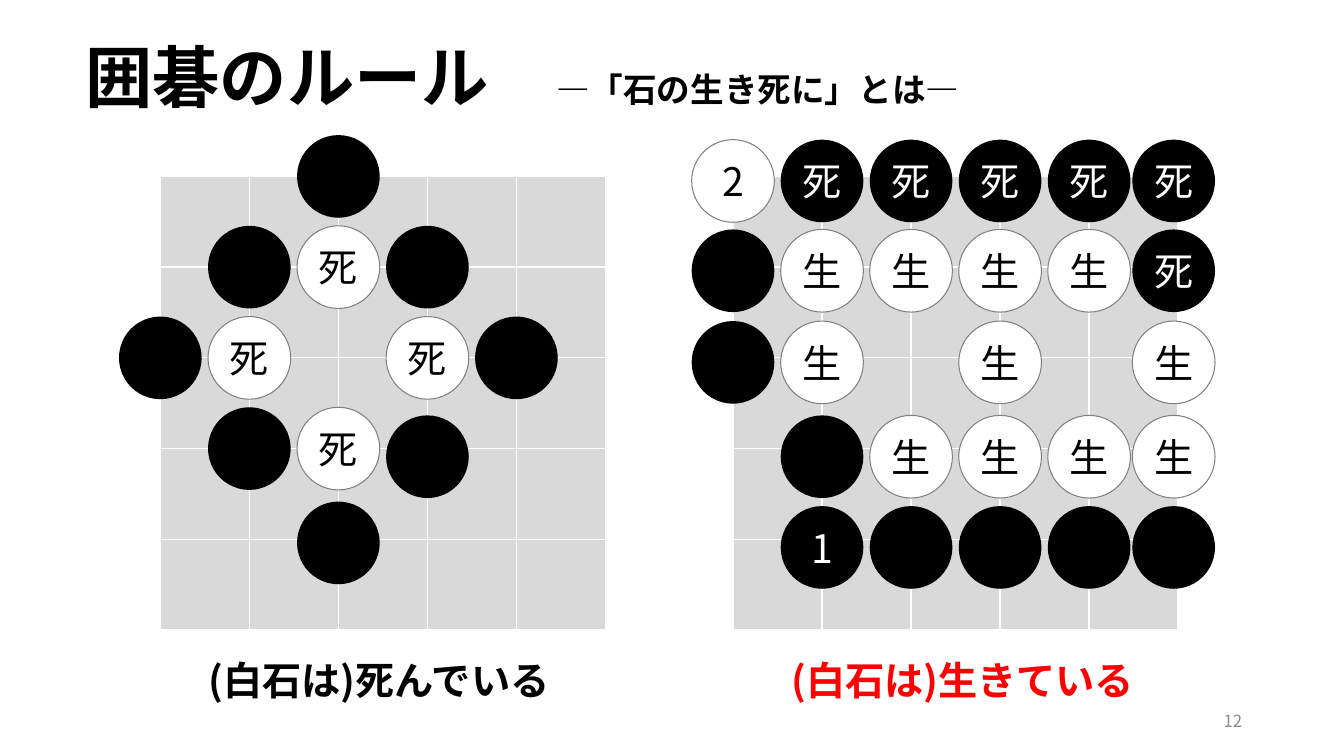
from itertools import product
from pptx import Presentation
from pptx.dml.color import RGBColor
from pptx.enum.shapes import MSO_SHAPE
from pptx.enum.text import MSO_ANCHOR, PP_ALIGN
from pptx.oxml.ns import qn
from pptx.util import Inches, Pt
from lxml.etree import SubElement

WIDE, HIGH = 13.33, 7.5
BLACK, WHITE = "000000", "FFFFFF"

# Each mark names a stone: fill colour, label
KINDS = {
    "b": (BLACK, ""),
    "x": (BLACK, "死"),
    "1": (BLACK, "1"),
    "d": (WHITE, "死"),
    "a": (WHITE, "生"),
    "2": (WHITE, "2"),
}

# Column and row places are counted in board cells
BOARDS = [
    {
        "left": 1.59,
        "cols": [0, 1, 2, 3, 4],
        "rows": [0, 1, 2, 3, 3.09, 4.04],
        "marks": ["..b..", ".bdb.", "bd.db", ".bd..", "...b.", "..b.."],
        "note": ("(白石は)死んでいる", 1.97, BLACK),
    },
    {
        "left": 7.27,
        "cols": [0, 1, 2, 3, 4, 4.95],
        "rows": [0.05, 1.04, 2.05, 3.09, 4.09],
        "marks": ["2xxxxx", "baaaax", "ba.a.a", ".baaaa", ".1bbbb"],
        "note": ("(白石は)生きている", 7.75, "FF0000"),
    },
]


def tint(code):
    return RGBColor.from_string(code)


def apply(item, values):
    for name, value in values.items():
        setattr(item, name, value)


class Sheet:
    font = "Noto Sans CJK JP"
    top, cell_w, cell_h = 1.75, 0.883, 0.9
    size, stone_d = 5, 0.82

    def __init__(self, deck):
        self.shapes = deck.slides.add_slide(deck.slide_layouts[6]).shapes

    def add_text(self, para, text, size, color, bold=False):
        run = para.add_run()
        run.text = text
        apply(run.font, {"name": self.font, "size": Pt(size), "bold": bold})
        run.font.color.rgb = tint(color)
        SubElement(run.font._element, qn("a:ea"), typeface=self.font)

    def label(self, box, runs, anchor=MSO_ANCHOR.TOP, align=PP_ALIGN.LEFT,
              space=None):
        """Put runs of (text, size, colour, bold) in a text box."""
        frame = self.shapes.add_textbox(*map(Inches, box)).text_frame
        apply(frame, {"word_wrap": True, "vertical_anchor": anchor})
        para = frame.paragraphs[0]
        apply(para, {"alignment": align, "line_spacing": space})
        for run in runs:
            self.add_text(para, *run)

    def form(self, kind, box, fill, edge=None, weight=1):
        shape = self.shapes.add_shape(kind, *map(Inches, box))
        shape.shadow.inherit = False
        shape.fill.solid()
        shape.fill.fore_color.rgb = tint(fill)
        if edge:
            shape.line.color.rgb = tint(edge)
            shape.line.width = Pt(weight)
        else:
            shape.line.fill.background()
        return shape

    def grid(self, left):
        for row, col in product(range(self.size), repeat=2):
            box = (left + col * self.cell_w, self.top + row * self.cell_h,
                   self.cell_w, self.cell_h)
            self.form(MSO_SHAPE.RECTANGLE, box, "D9D9D9", WHITE)

    def stone(self, left, col, row, mark):
        """Centre a stone on a crossing of the board."""
        fill, text = KINDS[mark]
        half = self.stone_d / 2
        box = (left + col * self.cell_w - half,
               self.top + row * self.cell_h - half,
               self.stone_d, self.stone_d)
        edge = "808080" if fill == WHITE else None
        shape = self.form(MSO_SHAPE.OVAL, box, fill, edge, 0.75)
        if text:
            frame = shape.text_frame
            apply(frame, {"margin_left": 0, "margin_right": 0,
                          "margin_top": 0, "margin_bottom": 0,
                          "vertical_anchor": MSO_ANCHOR.MIDDLE})
            para = frame.paragraphs[0]
            para.alignment = PP_ALIGN.CENTER
            self.add_text(para, text, 28, BLACK if fill == WHITE else WHITE)

    def board(self, left, cols, rows, marks, note):
        self.grid(left)
        for row, line in zip(rows, marks):
            for col, mark in zip(cols, line):
                if mark in KINDS:
                    self.stone(left, col, row, mark)
        text, start, color = note
        self.label((start, 6.46, 3.65, 0.57), [(text, 28, color, True)])


def main():
    deck = Presentation()
    apply(deck, {"slide_width": Inches(WIDE), "slide_height": Inches(HIGH)})
    sheet = Sheet(deck)
    sheet.label((0.75, 0.25, 11.5, 0.96),
                [("囲碁のルール　", 48, BLACK, True),
                 ("―「石の生き死に」とは―", 24, BLACK, True)],
                MSO_ANCHOR.BOTTOM, space=0.9)
    sheet.label((9.42, 6.95, 3, 0.4), [("12", 12, "8C8C8C")],
                MSO_ANCHOR.MIDDLE, PP_ALIGN.RIGHT)
    for board in BOARDS:
        sheet.board(**board)
    deck.save("out.pptx")


if __name__ == "__main__":
    main()
